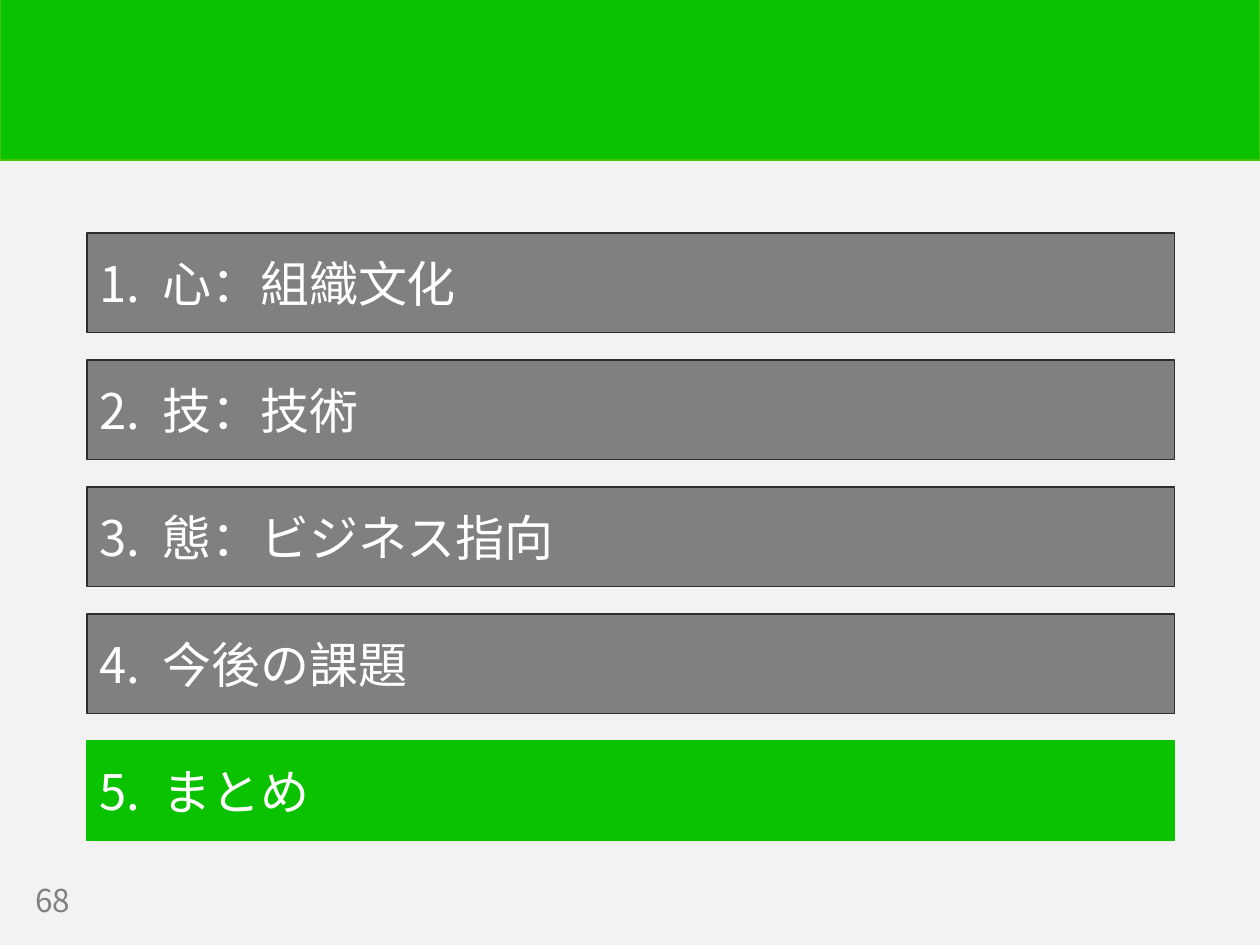
from lxml import etree
from pptx import Presentation
from pptx.dml.color import RGBColor
from pptx.enum.shapes import MSO_SHAPE
from pptx.enum.text import MSO_ANCHOR, PP_ALIGN
from pptx.oxml.ns import qn
from pptx.util import Inches, Pt

RECTANGLE = MSO_SHAPE.RECTANGLE
MIDDLE = MSO_ANCHOR.MIDDLE
LEFT = PP_ALIGN.LEFT

FONT = "Noto Sans CJK JP"
GREEN = RGBColor(0x0A, 0xC2, 0x00)
BAND_LINE = RGBColor(0x44, 0xC4, 0x04)
GRAY = RGBColor(0x80, 0x80, 0x80)
DARK = RGBColor(0x2C, 0x2C, 0x2C)
WHITE = RGBColor(0xFF, 0xFF, 0xFF)
BACKGROUND = RGBColor(0xF2, 0xF2, 0xF2)

AGENDA = ["心：組織文化", "技：技術", "態：ビジネス指向", "今後の課題", "まとめ"]
CURRENT = 5
ROW_HEIGHT = Inches(0.79)
NUMBER_WIDTH = Inches(0.5)


def add_rectangle(slide, box, fill, line, line_width):
    """Add a flat rectangle with the given fill and outline."""
    shape = slide.shapes.add_shape(RECTANGLE, *box)
    shape.shadow.inherit = False
    shape.fill.solid()
    shape.fill.fore_color.rgb = fill
    shape.line.color.rgb = line
    shape.line.width = Pt(line_width)
    return shape


def write_text(shape, text, size, color):
    """Write one left-aligned, vertically centred line in the shape."""
    text_frame = shape.text_frame
    text_frame.word_wrap = True
    text_frame.vertical_anchor = MIDDLE
    text_frame.text = text
    paragraph = text_frame.paragraphs[0]
    paragraph.alignment = LEFT
    for run in paragraph.runs:
        run.font.name = FONT
        run.font.size = Pt(size)
        run.font.color.rgb = color
        east_asian = etree.SubElement(run.font._element, qn("a:ea"))
        east_asian.set("typeface", FONT)
    return paragraph


def add_tab_stop(paragraph, position):
    """Give the paragraph one left tab stop."""
    properties = paragraph._p.get_or_add_pPr()
    tab_list = etree.SubElement(properties, qn("a:tabLst"))
    etree.SubElement(tab_list, qn("a:tab"), pos=str(position), algn="l")


def add_agenda(slide, left, top, width, height):
    """Spread the numbered agenda rows evenly over the box."""
    step = (height - ROW_HEIGHT) // (len(AGENDA) - 1)
    for number, topic in enumerate(AGENDA, start=1):
        fill, line = (GREEN, GREEN) if number == CURRENT else (GRAY, DARK)
        box = (left, top + (number - 1) * step, width, ROW_HEIGHT)
        row = add_rectangle(slide, box, fill, line, 0.75)
        paragraph = write_text(row, f"{number}.\t{topic}", 28, WHITE)
        add_tab_stop(paragraph, NUMBER_WIDTH)


def add_page_number(slide, left, top, width, height):
    """Add the page number in the box."""
    text_box = slide.shapes.add_textbox(left, top, width, height)
    write_text(text_box, "68", 18, GRAY)


def main():
    """Build the agenda slide and save it."""
    presentation = Presentation()
    presentation.slide_width = Inches(10)
    presentation.slide_height = Inches(7.5)
    slide = presentation.slides.add_slide(presentation.slide_layouts[6])
    slide.background.fill.solid()
    slide.background.fill.fore_color.rgb = BACKGROUND

    band = (Inches(0), Inches(-0.01), Inches(10), Inches(1.28))
    add_rectangle(slide, band, GREEN, BAND_LINE, 1)
    add_page_number(slide, Inches(0.18), Inches(6.95), Inches(0.79), Inches(0.39))
    add_agenda(slide, Inches(0.69), Inches(1.85), Inches(8.63), Inches(4.82))
    presentation.save("out.pptx")


if __name__ == "__main__":
    main()
